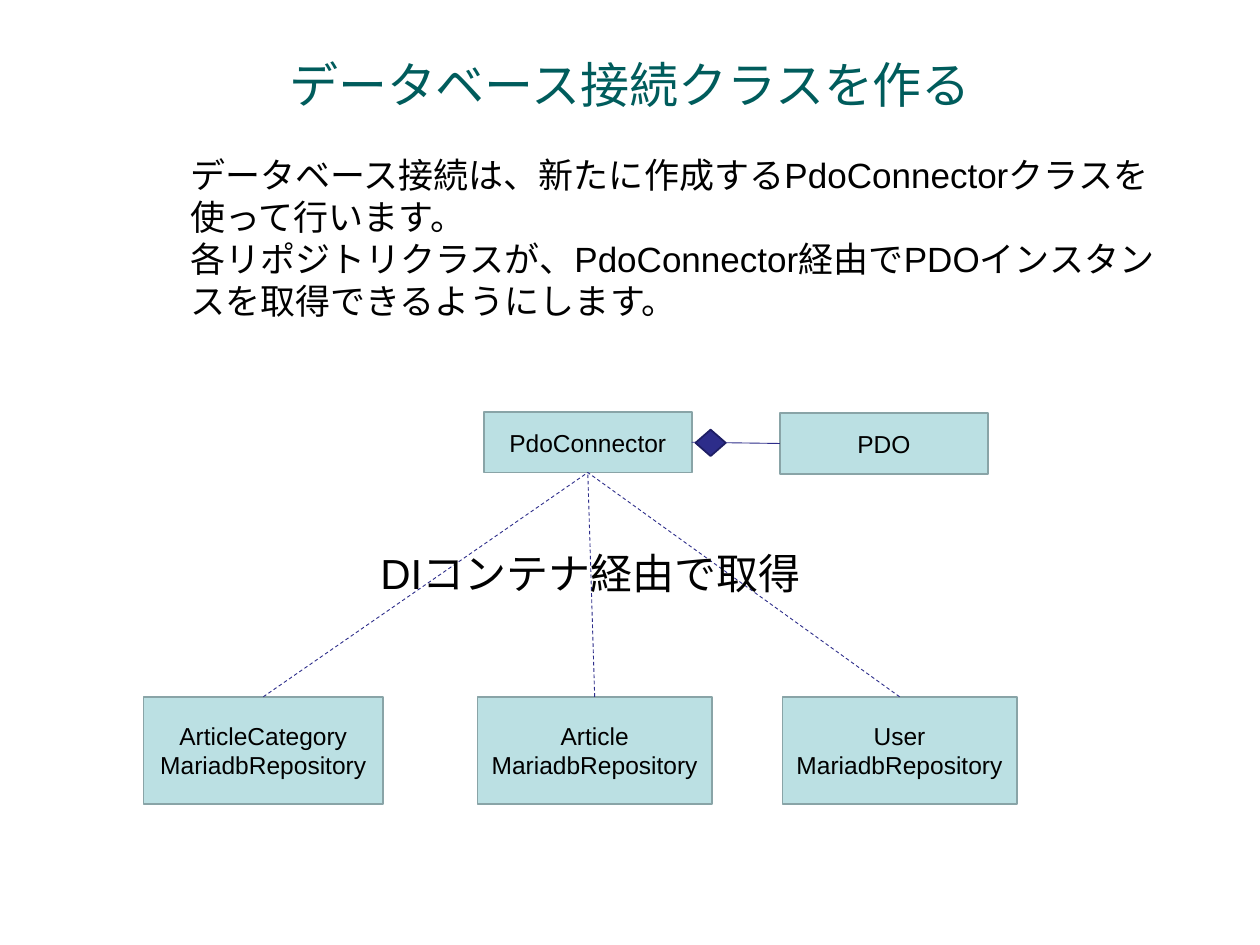
from dataclasses import dataclass

from lxml.etree import SubElement
from pptx import Presentation
from pptx.dml.color import RGBColor
from pptx.enum.dml import MSO_LINE_DASH_STYLE as Dash
from pptx.enum.shapes import MSO_CONNECTOR as Connector
from pptx.enum.shapes import MSO_SHAPE as Shape
from pptx.enum.text import MSO_ANCHOR as Anchor
from pptx.enum.text import MSO_AUTO_SIZE as AutoSize
from pptx.enum.text import PP_ALIGN as Align
from pptx.oxml.ns import qn
from pptx.slide import Slide
from pptx.util import Inches, Pt

BLACK = RGBColor(0x00, 0x00, 0x00)
TEAL = RGBColor(0x00, 0x5C, 0x5C)
PALE_BLUE = RGBColor(0xBB, 0xE0, 0xE3)
GRAY_BLUE = RGBColor(0x89, 0xA4, 0xA7)
INDIGO = RGBColor(0x2D, 0x2D, 0x8A)
DARK_INDIGO = RGBColor(0x1E, 0x1E, 0x64)

TOP, LEFT, BOTTOM, RIGHT = range(4)


def write_text(frame, text, font="Arial", size=14, color=BLACK,
               align=Align.LEFT, anchor=Anchor.TOP):
    frame.word_wrap = True
    frame.auto_size = AutoSize.NONE
    frame.vertical_anchor = anchor
    for index, line in enumerate(text.split("\n")):
        para = frame.add_paragraph() if index else frame.paragraphs[0]
        para.alignment = align
        span = para.add_run()
        span.text = line
        span.font.name = font
        span.font.size = Pt(size)
        span.font.color.rgb = color


@dataclass
class ClassDiagram:
    page: Slide
    fill: RGBColor = PALE_BLUE
    border: RGBColor = GRAY_BLUE
    link: RGBColor = INDIGO

    def title(self, text, left, top, width, height):
        box = self.page.shapes.title
        box.left, box.top = Inches(left), Inches(top)
        box.width, box.height = Inches(width), Inches(height)
        write_text(box.text_frame, text, size=28, color=TEAL,
                   align=Align.CENTER, anchor=Anchor.MIDDLE)

    def label(self, text, left, top, width, height, size):
        box = self.page.shapes.add_textbox(
            Inches(left), Inches(top), Inches(width), Inches(height))
        write_text(box.text_frame, text, size=size)

    def shape(self, kind, left, top, width, height, fill, border):
        box = self.page.shapes.add_shape(
            kind, Inches(left), Inches(top), Inches(width), Inches(height))
        box.shadow.inherit = False
        box.fill.solid()
        box.fill.fore_color.rgb = fill
        box.line.color.rgb = border
        box.line.width = Pt(1)
        return box

    def class_box(self, text, left, top, width, height):
        box = self.shape(Shape.RECTANGLE, left, top, width, height,
                         self.fill, self.border)
        write_text(box.text_frame, text, align=Align.CENTER, anchor=Anchor.MIDDLE)
        return box

    def diamond(self, left, top, width, height):
        self.shape(Shape.FLOWCHART_DECISION, left, top, width, height,
                   self.link, DARK_INDIGO)

    def join(self, start, start_side, end, end_side, dash=None):
        line = self.page.shapes.add_connector(Connector.STRAIGHT, 0, 0, 0, 0)
        line.begin_connect(start, start_side)
        line.end_connect(end, end_side)
        line.line.color.rgb = self.link
        line.line.width = Pt(0.5)
        if dash:
            line.line.dash_style = dash
        SubElement(line._element.spPr, qn("a:effectLst"))


def main():
    deck = Presentation()
    deck.slide_width, deck.slide_height = Inches(10), Inches(7.5)
    diagram = ClassDiagram(deck.slides.add_slide(deck.slide_layouts[5]))

    diagram.title("データベース接続クラスを作る", 0.75, 0.25, 8.5, 0.83)
    diagram.label(
        "データベース接続は、新たに作成するPdoConnectorクラスを使って行います。\n"
        "各リポジトリクラスが、PdoConnector経由でPDOインスタンスを取得できるようにします。",
        1.41, 1.17, 7.95, 1.44, size=20)

    connector_box = diagram.class_box("PdoConnector", 3.84, 3.27, 1.65, 0.48)
    pdo_box = diagram.class_box("PDO", 6.19, 3.28, 1.65, 0.48)
    diagram.join(pdo_box, LEFT, connector_box, RIGHT)
    diagram.diamond(5.52, 3.41, 0.24, 0.21)

    repositories = [("ArticleCategory", 1.14, 1.9), ("Article", 3.79, 1.86),
                    ("User", 6.21, 1.86)]
    for name, left, width in repositories:
        repository = diagram.class_box(
            f"{name}\nMariadbRepository", left, 5.53, width, 0.85)
        diagram.join(repository, TOP, connector_box, BOTTOM, dash=Dash.DASH)

    diagram.label("DIコンテナ経由で取得", 2.92, 4.3, 4.25, 0.5, size=24)
    deck.save("out.pptx")


if __name__ == "__main__":
    main()
